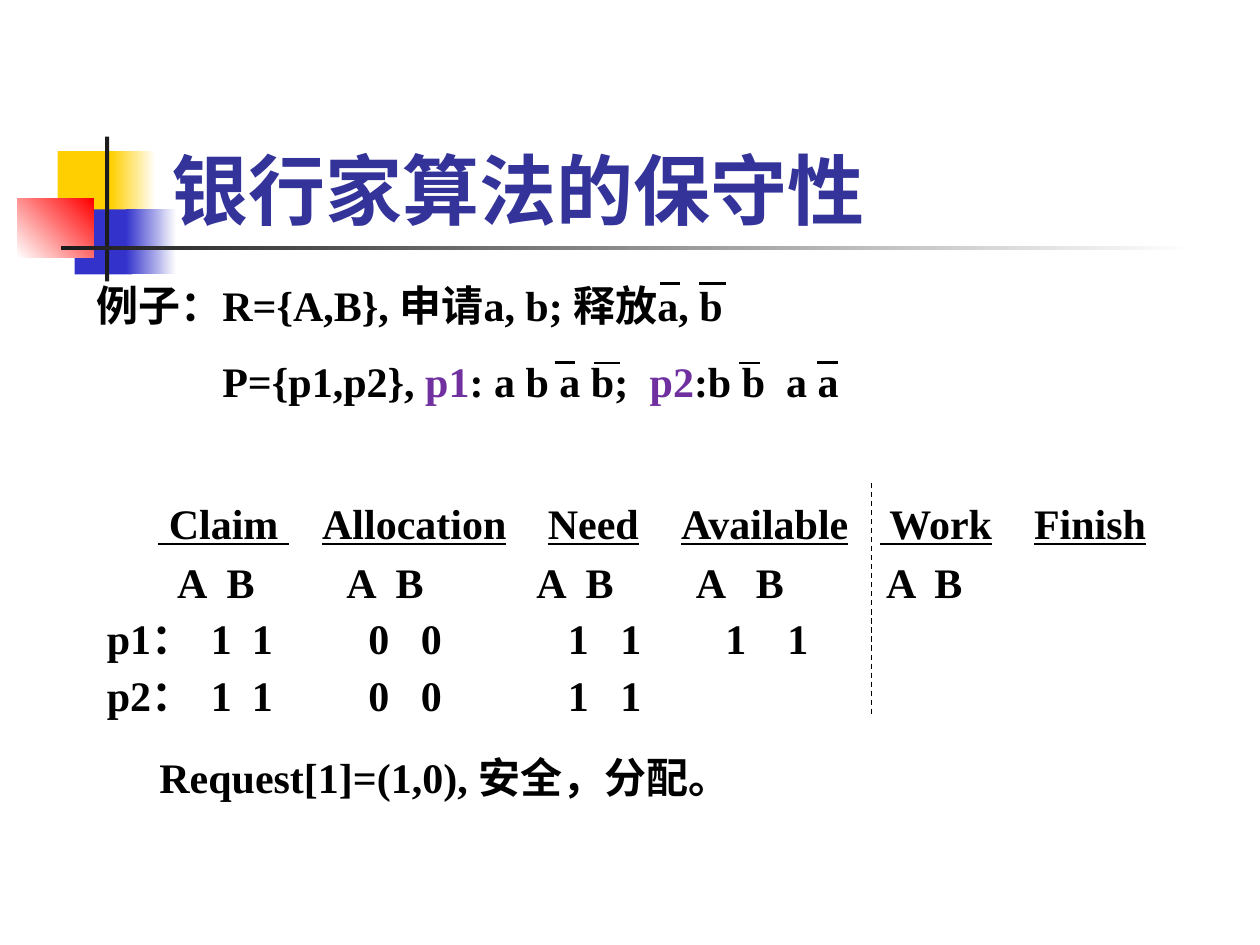
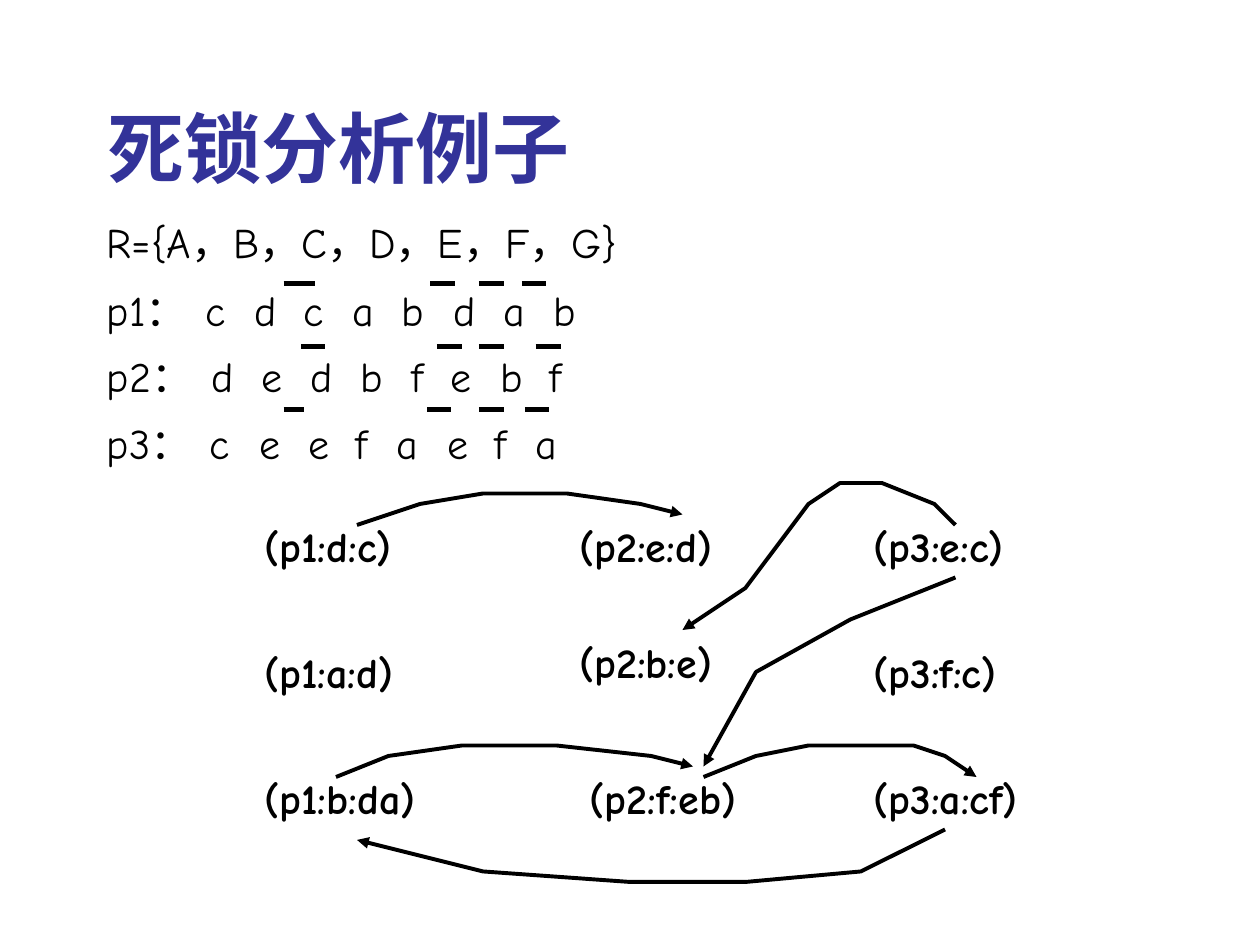
from dataclasses import dataclass

from lxml.etree import SubElement
from pptx import Presentation
from pptx.dml.color import RGBColor
from pptx.enum.dml import MSO_LINE
from pptx.enum.shapes import MSO_CONNECTOR, MSO_SHAPE
from pptx.enum.text import MSO_ANCHOR, PP_ALIGN
from pptx.oxml.ns import qn
from pptx.util import Inches, Pt


@dataclass(frozen=True)
class Theme:
    black: str = "000000"
    white: str = "FFFFFF"
    heading: str = "333399"
    process: str = "7030A0"
    yellow: str = "FFCF01"
    blue: str = "3333CC"
    red: str = "FF0000"
    charcoal: str = "1C1C1C"
    title_size: int = 44
    body_size: int = 24
    paragraph_gap: int = 15
    sans: str = "Roboto"
    serif: str = "Times New Roman"
    hand: str = "Comic Neue"


THEME = Theme()
COLUMNS, ROWS = 120, 90
TEXT_INSET = 1.2


def cells(count):
    return Inches(count / 12)


def rgb(color):
    return RGBColor.from_string(color)


def write(paragraph, text, *, font, size=THEME.body_size, color=THEME.black,
          bold=False, underline=False):
    run = paragraph.add_run()
    run.text = text
    run.font.name = font
    run.font.size = Pt(size)
    run.font.bold = bold
    run.font.underline = underline
    run.font.color.rgb = rgb(color)
    SubElement(run.font._element, qn("a:ea"), typeface=THEME.sans)


def set_tabs(paragraph, stops, text_left):
    tab_list = SubElement(paragraph._p.get_or_add_pPr(), qn("a:tabLst"))
    for stop in stops:
        SubElement(tab_list, qn("a:tab"), pos=str(cells(stop - text_left)), algn="l")


def add_text(slide, area, lines, **style):
    frame = slide.shapes.add_textbox(*map(cells, area)).text_frame
    frame.word_wrap = True
    for index, (runs, stops, spacing) in enumerate(lines):
        paragraph = frame.paragraphs[0] if index == 0 else frame.add_paragraph()
        paragraph.space_before = Pt(THEME.paragraph_gap if index else 0)
        paragraph.line_spacing = spacing
        set_tabs(paragraph, stops, area[0] + TEXT_INSET)
        for text, accent in runs:
            write(paragraph, text, **{**style, **accent})


def line(text, stops=(), spacing=1.0):
    return [(text, {})], stops, spacing


def add_titled_slide(deck, title, area):
    slide = deck.slides.add_slide(deck.slide_layouts[5])
    heading = slide.shapes.title
    heading.left, heading.top, heading.width, heading.height = map(cells, area)
    heading.text_frame.vertical_anchor = MSO_ANCHOR.BOTTOM
    paragraph = heading.text_frame.paragraphs[0]
    paragraph.alignment = PP_ALIGN.LEFT
    write(paragraph, title, font=THEME.sans, size=THEME.title_size,
          color=THEME.heading, bold=True)
    return slide


def add_block(slide, area, color, fade_to=None, angle=0):
    block = slide.shapes.add_shape(MSO_SHAPE.RECTANGLE, *map(cells, area))
    block.shadow.inherit = False
    block.line.fill.background()
    if fade_to is None:
        block.fill.solid()
        block.fill.fore_color.rgb = rgb(color)
        return
    block.fill.gradient()
    block.fill.gradient_angle = angle
    for stop, shade in zip(block.fill.gradient_stops, (color, fade_to)):
        stop.color.rgb = rgb(shade)


def add_line(slide, start, end, width, dash=None):
    stroke = slide.shapes.add_connector(
        MSO_CONNECTOR.STRAIGHT, *map(cells, (*start, *end)))
    stroke.line.color.rgb = rgb(THEME.black)
    stroke.line.width = Pt(width)
    if dash:
        stroke.line.dash_style = dash
    SubElement(stroke._element.spPr, qn("a:effectLst"))


def add_overbar(slide, row, left, right, width):
    add_line(slide, (left, row), (right, row), width)


def add_curved_arrow(slide, points):
    outline = [(cells(x), cells(y)) for x, y in points]
    builder = slide.shapes.build_freeform(*outline[0])
    builder.add_line_segments(outline[1:], close=False)
    arrow = builder.convert_to_shape()
    arrow.shadow.inherit = False
    arrow.fill.background()
    arrow.line.color.rgb = rgb(THEME.black)
    arrow.line.width = Pt(2.25)
    SubElement(arrow.line._get_or_add_ln(), qn("a:tailEnd"), type="triangle")


def add_emblem(slide):
    add_block(slide, (5.5, 14.4, 5.75, 6.2), THEME.yellow)
    add_block(slide, (10.55, 14.4, 4.3, 6.2), THEME.yellow, THEME.white)
    add_block(slide, (7.1, 19.95, 5.5, 6.2), THEME.blue)
    add_block(slide, (12, 19.95, 4.8, 6.2), THEME.blue, THEME.white)
    add_block(slide, (1.65, 18.95, 7.3, 5.55), THEME.white, THEME.red, angle=45)
    add_block(slide, (10, 13, 0.4, 13.8), THEME.charcoal)
    add_block(slide, (5.8, 23.4, 108, 0.4), THEME.charcoal, THEME.white)
    slide.shapes._spTree.append(slide.shapes.title._element)


def add_banker_slide(deck):
    slide = add_titled_slide(deck, "银行家算法的保守性", (15.1, 8, 102.2, 15))
    add_emblem(slide)
    style = {"font": THEME.serif, "bold": True}
    process = {"color": THEME.process}
    processes = [("\tP={p1,p2}, ", {}), ("p1", process), (": a b a b;\t", {}),
                 ("p2", process), (":b b\ta a", {})]
    add_text(slide, (8, 26, 103, 13.3), [
        line("例子：R={A,B}, 申请a, b; 释放a, b"),
        (processes, (21.2, 61.9, 74.9), 1.0),
    ], **style)

    headings = []
    for heading in (" Claim ", "Allocation", "Need", "Available", " Work", "Finish"):
        headings += [("\t", {}), (heading, {"underline": True})]
    resource_stops = (16.9, 21.6, 33, 37.7, 51.1, 55.8, 66.3, 72, 84.4, 89)
    count_stops = (20.1, 24, 35.1, 40.1, 54.1, 59.1, 69.1, 75)
    add_text(slide, (9, 46.8, 104, 22.2), [
        (headings, (15.1, 30.7, 52.2, 64.9, 83.8, 98.5), 1.0),
        line("\tA\tB" * 5, resource_stops, 0.6),
        line("p1：\t1\t1\t0\t0\t1\t1\t1\t1", count_stops, 0.6),
        line("p2：\t1\t1\t0\t0\t1\t1", count_stops, 0.6),
    ], **style)
    add_text(slide, (14, 71, 100, 13.3),
             [line("Request[1]=(1,0), 安全，分配。")], **style)

    add_line(slide, (83, 46), (83, 68), 0.75, MSO_LINE.DASH)
    releases = {
        27: [(62.9, 64.8, 1.5), (66.6, 69.1, 1.25)],
        34.55: [(52.85, 54.8, 1.5), (56.6, 59.05, 1.25),
                (70.4, 72.35, 1.25), (77.85, 79.8, 1.5)],
    }
    for row, bars in releases.items():
        for bar in bars:
            add_overbar(slide, row, *bar)


def add_deadlock_slide(deck):
    slide = add_titled_slide(deck, "死锁分析例子", (9, 4, 102, 15))
    sequences = [
        ("p1：", "cdcabdab", (19.6, 24.3, 28.9, 33.6, 38.3, 43.2, 48, 52.7)),
        ("p2：", "dedbfebf", (20.2, 24.9, 29.6, 34.4, 39.2, 42.9, 47.7, 52.4)),
        ("p3：", "ceefaefa", (20, 24.7, 29.4, 33.9, 37.8, 42.6, 47.1, 51)),
    ]
    add_text(slide, (9, 20.6, 104, 31.9), [
        line("R={A，B，C，D，E，F，G}", spacing=0.9),
        *(line("\t".join([process, *steps]), stops, 0.8)
          for process, steps, stops in sequences),
    ], font=THEME.hand)

    releases = [
        [(27, 30), (41, 43.3), (45.6, 48), (49.7, 52)],
        [(28.7, 31), (41.6, 44), (45.6, 48), (51, 53.4)],
        [(27, 29), (40.7, 43), (45.6, 48), (50, 52.3)],
    ]
    for index, bars in enumerate(releases):
        for left, right in bars:
            add_overbar(slide, 27 + 6 * index, left, right, 3)

    states = [
        ("(p1:d:c)", 24, 49), ("(p1:a:d)", 24, 61), ("(p1:b:da)", 24, 73),
        ("(p2:e:d)", 54, 49), ("(p2:b:e)", 54, 60), ("(p2:f:eb)", 55, 73),
        ("(p3:e:c)", 82, 49), ("(p3:f:c)", 82, 61), ("(p3:a:cf)", 82, 73),
    ]
    for state, column, row in states:
        add_text(slide, (column, row, 20, 6), [line(state)],
                 font=THEME.hand, bold=True)

    transitions = [
        [(34, 50), (40, 48), (46, 47), (54, 47), (61, 48), (65, 49)],
        [(32, 74), (37, 72), (44, 71), (53, 71), (62, 72), (66, 73)],
        [(67, 74), (72, 72), (77, 71), (87, 71), (90, 72), (93, 74)],
        [(91, 50), (89, 48), (84, 46), (80, 46), (77, 48), (71, 56), (65, 60)],
        [(91, 55), (81, 59), (72, 64), (67, 73)],
        [(90, 79), (82, 83), (71, 84), (60, 84), (46, 83), (34, 80)],
    ]
    for points in transitions:
        add_curved_arrow(slide, points)


def main():
    deck = Presentation()
    deck.slide_width, deck.slide_height = cells(COLUMNS), cells(ROWS)
    add_banker_slide(deck)
    add_deadlock_slide(deck)
    deck.save("out.pptx")


if __name__ == "__main__":
    main()
